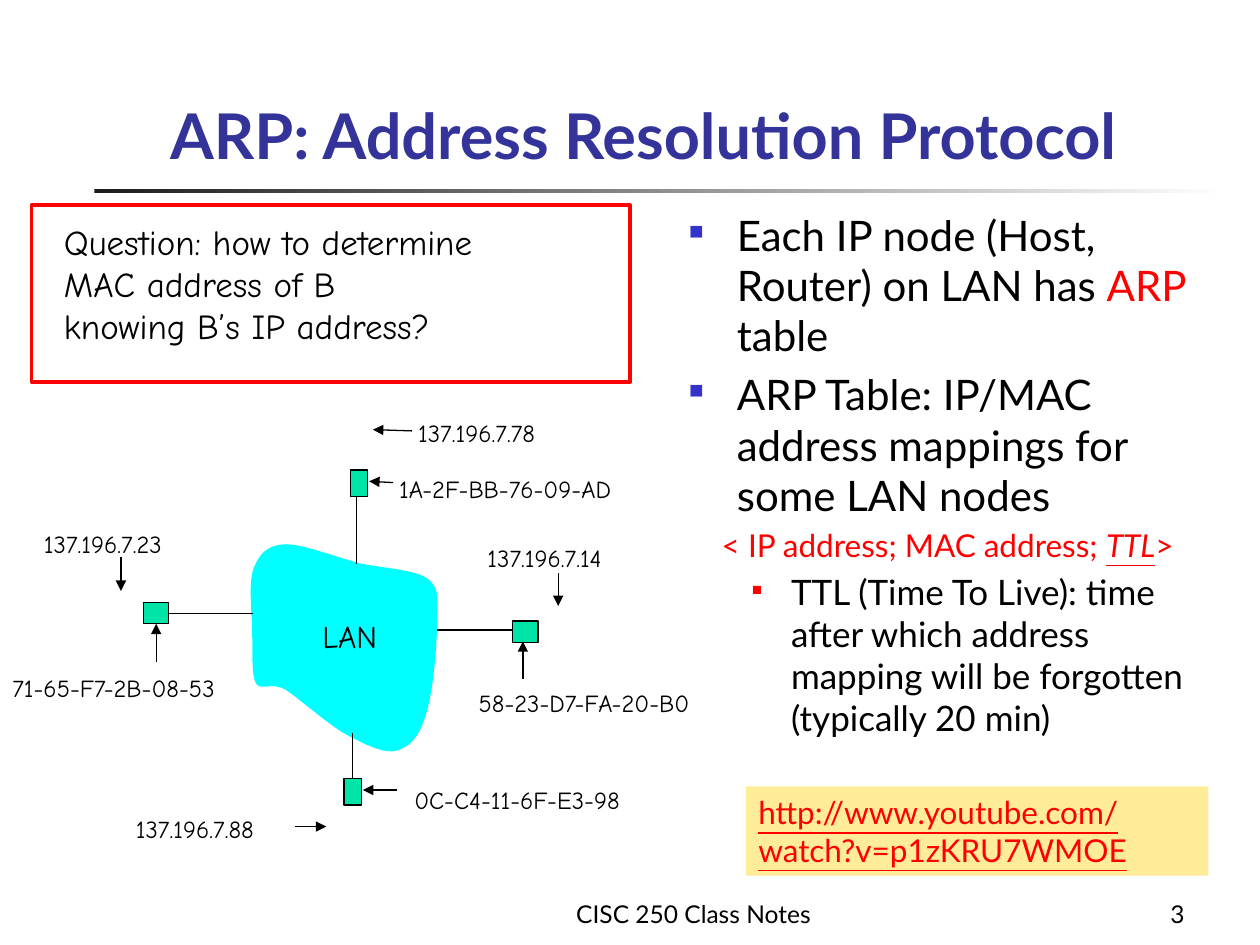
from lxml import etree
from pptx import Presentation
from pptx.dml.color import RGBColor
from pptx.enum.shapes import MSO_CONNECTOR, MSO_SHAPE
from pptx.enum.text import MSO_ANCHOR, MSO_AUTO_SIZE, PP_ALIGN
from pptx.oxml.ns import qn
from pptx.util import Inches, Pt

STRAIGHT = MSO_CONNECTOR.STRAIGHT
RECTANGLE = MSO_SHAPE.RECTANGLE
BOTTOM = MSO_ANCHOR.BOTTOM
LEFT, CENTER, RIGHT = PP_ALIGN.LEFT, PP_ALIGN.CENTER, PP_ALIGN.RIGHT
BODY_FONT, DIAGRAM_FONT = "Lato", "Comic Neue"
BLACK, RED, BLUE = "000000", "FF0000", "3333CC"

HOSTS = [(4.07, 4.93, 0.2, 0.17), (1.14, 4.78, 0.2, 0.17),
         (2.78, 3.73, 0.14, 0.21), (2.73, 6.18, 0.14, 0.21)]
WIRES = [(1.33, 4.87, 2.01, 4.87), (2.83, 3.94, 2.83, 4.48),
         (4.07, 5, 3.47, 5), (2.8, 6.18, 2.8, 5.82)]
POINTERS = [(3.12, 3.83, 2.93, 3.82), (4.15, 5.39, 4.15, 5.09),
            (3.15, 6.27, 2.88, 6.27), (1.24, 5.25, 1.24, 4.95),
            (0.96, 4.42, 0.96, 4.69), (3.27, 3.42, 2.96, 3.41),
            (4.43, 4.55, 4.43, 4.81), (2.34, 6.56, 2.59, 6.56)]
ADDRESSES = [
    ("1A-2F-BB-76-09-AD", 3.07, 3.71, 2.08),
    ("58-23-D7-FA-20-B0", 3.7, 5.41, 2.08),
    ("0C-C4-11-6F-E3-98", 3.19, 6.18, 1.96),
    ("71-65-F7-2B-08-53", 0, 5.29, 2),
    ("137.196.7.23", 0.25, 4.15, 1.35),
    ("137.196.7.78", 3.22, 3.27, 1.35),
    ("137.196.7.14", 3.77, 4.26, 1.32),
    ("137.196.7.88", 0.98, 6.41, 1.35),
]
CLOUD_START = (2.25, 4.32)
CLOUD_CURVES = [
    ((2.11, 4.33), (2.05, 4.41), (2.01, 4.52)),
    ((1.97, 4.64), (2, 4.86), (2, 5.01)),
    ((2.01, 5.16), (1.99, 5.34), (2.03, 5.42)),
    ((2.07, 5.49), (2.14, 5.41), (2.26, 5.47)),
    ((2.37, 5.54), (2.58, 5.73), (2.73, 5.82)),
    ((2.88, 5.9), (3.03, 5.98), (3.14, 5.96)),
    ((3.25, 5.93), (3.33, 5.85), (3.38, 5.67)),
    ((3.44, 5.5), (3.47, 5.09), (3.47, 4.91)),
    ((3.47, 4.73), (3.49, 4.67), (3.39, 4.59)),
    ((3.29, 4.52), (3.04, 4.51), (2.85, 4.47)),
    ((2.66, 4.42), (2.39, 4.31), (2.25, 4.32)),
]


def rgb(value):
    return RGBColor.from_string(value)


def format_run(run, size, color=BLACK, font=BODY_FONT):
    run.font.size = Pt(size)
    run.font.name = font
    run.font.color.rgb = rgb(color)


def add_label(slide, text, box, size, font=BODY_FONT, wrap=False, align=LEFT, anchor=None):
    frame = slide.shapes.add_textbox(*map(Inches, box)).text_frame
    frame.word_wrap = wrap
    frame.text = text
    if anchor is not None:
        frame.vertical_anchor = anchor
    for paragraph in frame.paragraphs:
        paragraph.alignment = align
        for run in paragraph.runs:
            format_run(run, size, font=font)


def style_shape(shape, fill=None, line=None, width=0.75):
    shape.shadow.inherit = False
    if fill:
        shape.fill.solid()
        shape.fill.fore_color.rgb = rgb(fill)
    else:
        shape.fill.background()
    if line:
        shape.line.color.rgb = rgb(line)
        shape.line.width = Pt(width)
    else:
        shape.line.fill.background()


def add_box(slide, box, **style):
    shape = slide.shapes.add_shape(RECTANGLE, *map(Inches, box))
    style_shape(shape, **style)
    return shape


def add_line(slide, ends, arrow=False):
    connector = slide.shapes.add_connector(STRAIGHT, *map(Inches, ends))
    connector.line.color.rgb = rgb(BLACK)
    connector.line.width = Pt(0.75)
    if arrow:
        etree.SubElement(connector.line._get_or_add_ln(), qn("a:tailEnd"), type="triangle")
    etree.SubElement(connector._element.spPr, qn("a:effectLst"))


def curve_points(start, curves, steps=10):
    """Points along a chain of cubic Bezier curves."""
    points = []
    for first, second, end in curves:
        for step in range(1, steps + 1):
            t = step / steps
            weights = ((1 - t) ** 3, 3 * t * (1 - t) ** 2, 3 * t * t * (1 - t), t ** 3)
            points.append(tuple(
                sum(w * p[axis] for w, p in zip(weights, (start, first, second, end)))
                for axis in (0, 1)))
        start = end
    return points


def add_cloud(slide):
    """Freeform points are whole numbers, so the outline is given in EMU."""
    outline = [(Inches(x), Inches(y)) for x, y in curve_points(CLOUD_START, CLOUD_CURVES)]
    builder = slide.shapes.build_freeform(*map(Inches, CLOUD_START))
    builder.add_line_segments(outline, close=True)
    style_shape(builder.convert_to_shape(), fill="00FFFF")


def indent_paragraph(paragraph, margin, hanging=0, bullet_color=None, bullet_size=48):
    properties = paragraph._p.get_or_add_pPr()
    properties.set("marL", str(Inches(margin)))
    properties.set("indent", str(-Inches(hanging)))
    if bullet_color:
        color = etree.SubElement(properties, qn("a:buClr"))
        etree.SubElement(color, qn("a:srgbClr"), val=bullet_color)
        etree.SubElement(properties, qn("a:buSzPct"), val=str(bullet_size * 1000))
        etree.SubElement(properties, qn("a:buChar"), char="■")


def add_runs(paragraph, size, *parts):
    for text, color in parts:
        run = paragraph.add_run()
        run.text = text
        format_run(run, size, color)


def add_title(slide):
    title = slide.shapes.title
    title.left, title.top, title.width, title.height = map(Inches, (1.25, 0.43, 8.26, 0.99))
    frame = title.text_frame
    frame.text = "ARP: Address Resolution Protocol"
    frame.vertical_anchor = BOTTOM
    frame.auto_size = MSO_AUTO_SIZE.NONE
    frame.paragraphs[0].alignment = LEFT
    run = frame.paragraphs[0].runs[0]
    format_run(run, 36, "333399")
    run.font.bold = True

    rule = add_box(slide, (0.75, 1.5, 9, 0.03))
    rule.fill.gradient()
    rule.fill.gradient_angle = 0
    for stop, color in zip(rule.fill.gradient_stops, ("1C1C1C", "FFFFFF")):
        stop.color.rgb = rgb(color)


def add_explanation(slide):
    frame = slide.shapes.add_textbox(*map(Inches, (5.37, 1.61, 4.36, 5.08))).text_frame
    frame.word_wrap = True
    node = frame.paragraphs[0]
    table, entry, ttl = (frame.add_paragraph() for _ in range(3))
    for point in (node, table):
        indent_paragraph(point, 0.38, 0.38, BLUE)
    indent_paragraph(entry, 0.26)
    indent_paragraph(ttl, 0.81, 0.31, RED, 40)
    ttl.level = 1
    for paragraph, space in ((table, 4.8), (entry, 3.6), (ttl, 4)):
        paragraph.space_before = Pt(space)

    add_runs(node, 24, ("Each IP node (Host, Router) on LAN has ", BLACK),
             ("ARP ", RED), ("table", BLACK))
    add_runs(table, 24, ("ARP Table: IP/MAC address mappings for some LAN nodes", BLACK))
    add_runs(entry, 18, ("< IP address; MAC address; ", RED), ("TTL", RED), (">", RED))
    entry.runs[1].font.italic = True
    entry.runs[1].font.underline = True
    add_runs(ttl, 20, ("TTL (Time To Live): time after which address mapping "
                       "will be forgotten (typically 20 min)", BLACK))


def add_network(slide):
    add_cloud(slide)
    for host in HOSTS:
        add_box(slide, host, fill="00E4A8", line=BLACK)
    for wire in WIRES:
        add_line(slide, wire)
    for pointer in POINTERS:
        add_line(slide, pointer, arrow=True)
    for address, left, top, width in ADDRESSES:
        add_label(slide, address, (left, top, width, 0.33), 14, DIAGRAM_FONT)
    add_label(slide, "LAN", (2.46, 4.85, 0.68, 0.4), 18, DIAGRAM_FONT)


def add_video_link(slide):
    frame = add_box(slide, (5.92, 6.24, 3.67, 0.71), fill="FFEC99").text_frame
    frame.word_wrap = True
    frame.text = "http://www.youtube.com/watch?v=p1zKRU7WMOE"
    frame.paragraphs[0].alignment = LEFT
    run = frame.paragraphs[0].runs[0]
    format_run(run, 18, RED)
    run.font.underline = True


def main():
    prs = Presentation()
    prs.slide_width, prs.slide_height = Inches(10), Inches(7.5)
    slide = prs.slides.add_slide(prs.slide_layouts[5])
    add_title(slide)
    add_explanation(slide)
    add_box(slide, (0.25, 1.63, 4.75, 1.4), line=RED, width=2.25)
    add_label(slide, "Question: how to determine\nMAC address of B\nknowing B’s IP address?",
              (0.41, 1.7, 3.8, 1.1), 20, DIAGRAM_FONT)
    add_network(slide)
    add_video_link(slide)
    add_label(slide, "CISC 250 Class Notes", (3.42, 6.92, 4.17, 0.5), 14,
              wrap=True, align=CENTER, anchor=BOTTOM)
    add_label(slide, "3", (8.58, 6.92, 0.92, 0.5), 14, wrap=True, align=RIGHT, anchor=BOTTOM)
    prs.save("out.pptx")


if __name__ == "__main__":
    main()
